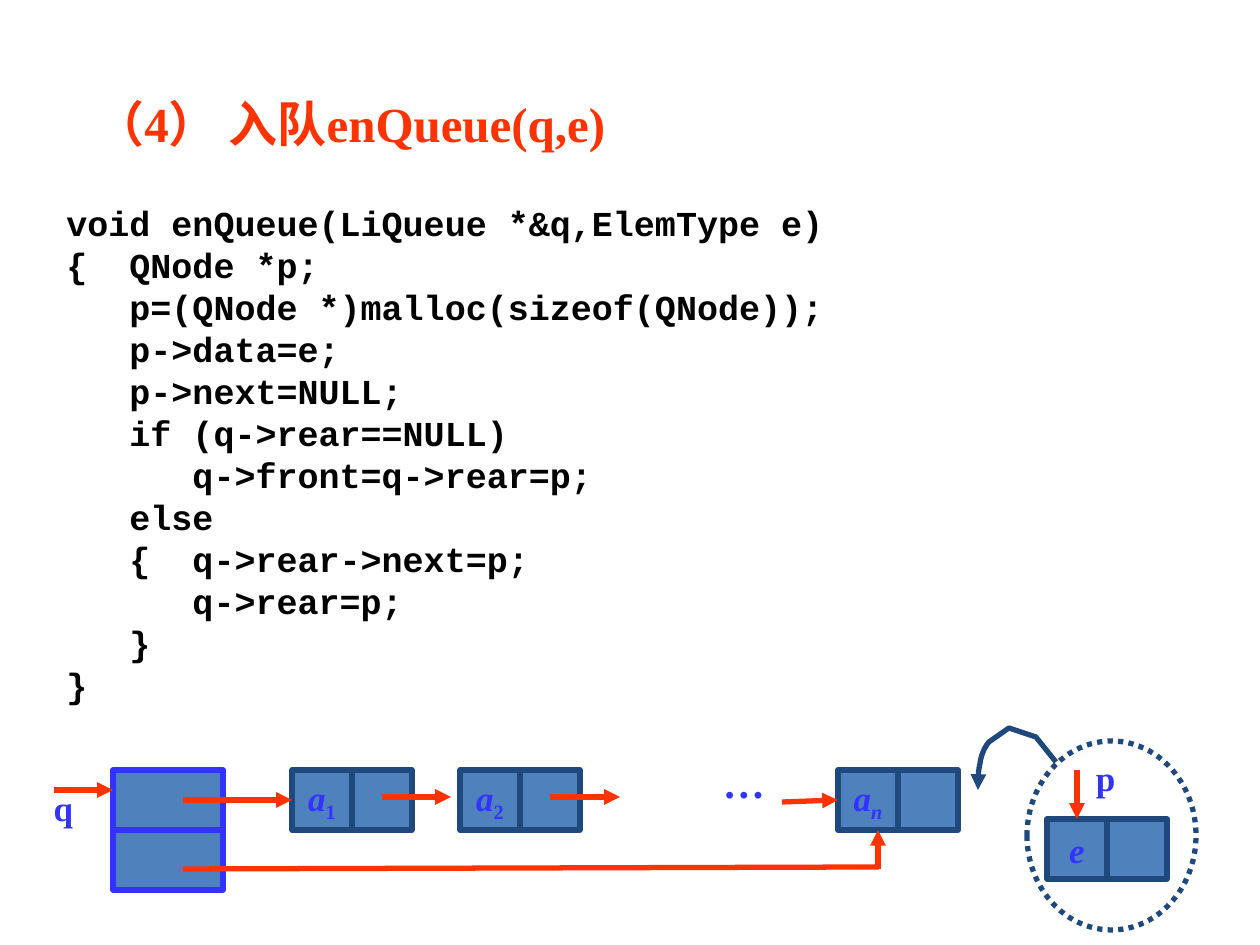
from lxml import etree
from pptx import Presentation
from pptx.dml.color import RGBColor
from pptx.enum.dml import MSO_LINE
from pptx.enum.shapes import MSO_CONNECTOR, MSO_SHAPE
from pptx.enum.text import MSO_ANCHOR, PP_ALIGN
from pptx.oxml.ns import qn
from pptx.util import Pt

CENTER, LEFT = PP_ALIGN.CENTER, PP_ALIGN.LEFT
TOP, MIDDLE = MSO_ANCHOR.TOP, MSO_ANCHOR.MIDDLE
RECTANGLE, OVAL = MSO_SHAPE.RECTANGLE, MSO_SHAPE.OVAL
SIDE_TOP, SIDE_LEFT = 0, 1

SCALE = 914400 / 126  # EMU per px
COLORS = {"red": "FF3300", "blue": "3333FF", "navy": "1F497D",
          "box": "4F81BD", "black": "000000"}
SERIF, MONO = "Times New Roman", "Courier New"

# Content
TITLE = "（4） 入队enQueue(q,e)"
CODE = [
    "void enQueue(LiQueue *&q,ElemType e)",
    "{  QNode *p;",
    "   p=(QNode *)malloc(sizeof(QNode));",
    "   p->data=e;",
    "   p->next=NULL;",
    "   if (q->rear==NULL)",
    "      q->front=q->rear=p;",
    "   else",
    "   {  q->rear->next=p;",
    "      q->rear=p;",
    "   }",
    "}",
]
CELL = 60
ROW = 770
HEADER = (113, ROW, 110, CELL)  # front field; the rear field lies below it
# name: (left, top, letter, subscript, subscript is italic)
NODES = {
    "first": (292, ROW, "a", "1", False),
    "second": (460, ROW, "a", "2", False),
    "last": (838, ROW, "a", "n", True),
    "new": (1047, 819, "e", "", False),
}
# text, box, size
LABELS = [("q", (34, 780, 59, 54), 20),
          ("…", (689, 750, 110, 63), 24),
          ("p", (1071, 750, 69, 54), 20)]
# start, end, has arrowhead, joined node, joined side
LINKS = [
    ((54, 790), (113, 790), True, None, None),
    ((183, 800), (292, 800), True, "first", SIDE_LEFT),
    ((382, 797), (451, 797), True, None, None),
    ((550, 797), (620, 797), True, None, None),
    ((782, 802), (838, 800), True, "last", SIDE_LEFT),
    ((183, 869), (879, 867), False, None, None),
    ((878, 869), (878, 830), True, None, None),
    ((1077, 770), (1077, 819), True, "new", SIDE_TOP),
]
NEW_NODE_RING = (1027, 741, 169, 189)
CURVE_START = [(1056, 762), (1036, 737), (1009, 728), (989, 742)]
CURVE_BEZIERS = [[(989, 742), (984, 748), (981, 756), (980, 764)],
                 [(980, 764), (978, 771), (978, 785), (978, 790)]]


def px(*values):
    return [round(value * SCALE) for value in values]


def color(name):
    return RGBColor.from_string(COLORS[name])


def set_line(shape, name, arrow=False):
    shape.line.color.rgb = color(name)
    shape.line.width = Pt(3)
    if arrow:
        line = shape.line._get_or_add_ln()
        etree.SubElement(line, qn("a:tailEnd"), type="triangle")


def write(shape, lines, size=20, font=SERIF, ink="blue", align=CENTER,
          anchor=TOP, wrap=True, spacing=None, indent=0):
    """Each line is a list of (text, italic, subscript) runs or a string."""
    frame = shape.text_frame
    frame.word_wrap = wrap
    frame.vertical_anchor = anchor
    for index, line in enumerate(lines):
        paragraph = frame.paragraphs[0] if index == 0 else frame.add_paragraph()
        paragraph.alignment = align
        if spacing:
            paragraph.line_spacing = spacing
        if indent:
            properties = paragraph._p.get_or_add_pPr()
            properties.set("marL", str(px(indent)[0]))
            properties.set("indent", "0")
        runs = [(line, False, False)] if isinstance(line, str) else line
        for text, italic, subscript in runs:
            run = paragraph.add_run()
            run.text = text
            run.font.size = Pt(size)
            run.font.name = font
            run.font.bold = True
            run.font.italic = italic
            run.font.color.rgb = color(ink)
            if subscript:
                run._r.get_or_add_rPr().set("baseline", "-25000")


def add_text(slide, box, lines, **style):
    write(slide.shapes.add_textbox(*px(*box)), lines, **style)


def add_box(slide, box, line, kind=RECTANGLE, fill="box"):
    shape = slide.shapes.add_shape(kind, *px(*box))
    shape.shadow.inherit = False
    if fill:
        shape.fill.solid()
        shape.fill.fore_color.rgb = color(fill)
    else:
        shape.fill.background()
    set_line(shape, line)
    return shape


def add_node(slide, left, top, letter, subscript, italic):
    data = add_box(slide, (left, top, CELL, CELL), "navy")
    runs = [(letter, True, False)]
    if subscript:
        runs.append((subscript, italic, True))
    write(data, [runs], anchor=MIDDLE, wrap=False)
    add_box(slide, (left + CELL, top, CELL, CELL), "navy")
    return data


def add_link(slide, start, end, arrow, target, side):
    link = slide.shapes.add_connector(MSO_CONNECTOR.STRAIGHT, *px(*start, *end))
    if target is not None:
        link.end_connect(target, side)
    set_line(link, "red", arrow)
    etree.SubElement(link._element.spPr, qn("a:effectLst"))


def bezier_points(controls, steps=6):
    for step in range(1, steps + 1):
        t = step / steps
        weights = ((1 - t) ** 3, 3 * t * (1 - t) ** 2, 3 * t * t * (1 - t), t ** 3)
        yield tuple(sum(w * point[axis] for w, point in zip(weights, controls))
                    for axis in (0, 1))


def add_curve(slide):
    points = CURVE_START + [point for controls in CURVE_BEZIERS
                            for point in bezier_points(controls)]
    corners = [tuple(px(*point)) for point in points]
    builder = slide.shapes.build_freeform(*corners[0])
    builder.add_line_segments(corners[1:], close=False)
    curve = builder.convert_to_shape()
    curve.shadow.inherit = False
    curve.fill.background()
    set_line(curve, "navy", arrow=True)


def main():
    presentation = Presentation()
    presentation.slide_width, presentation.slide_height = px(1260, 945)
    slide = presentation.slides.add_slide(presentation.slide_layouts[6])

    # Title and code
    add_text(slide, (34, 76, 1081, 83), [TITLE], size=28, ink="red",
             align=LEFT, spacing=1.2, indent=49)
    add_text(slide, (54, 195, 847, 517), CODE, font=MONO, ink="black", align=LEFT)

    # Queue header and list nodes
    left, top, width, height = HEADER
    for row in range(2):
        add_box(slide, (left, top + row * height, width, height), "blue")
    nodes = {name: add_node(slide, *node) for name, node in NODES.items()}

    # Pointers and labels
    for start, end, arrow, name, side in LINKS:
        add_link(slide, start, end, arrow, nodes.get(name), side)
    for text, box, size in LABELS:
        add_text(slide, box, [text], size=size)

    # New node joining the queue
    ring = add_box(slide, NEW_NODE_RING, "navy", kind=OVAL, fill=None)
    ring.line.dash_style = MSO_LINE.ROUND_DOT
    add_curve(slide)

    presentation.save("out.pptx")


if __name__ == "__main__":
    main()
